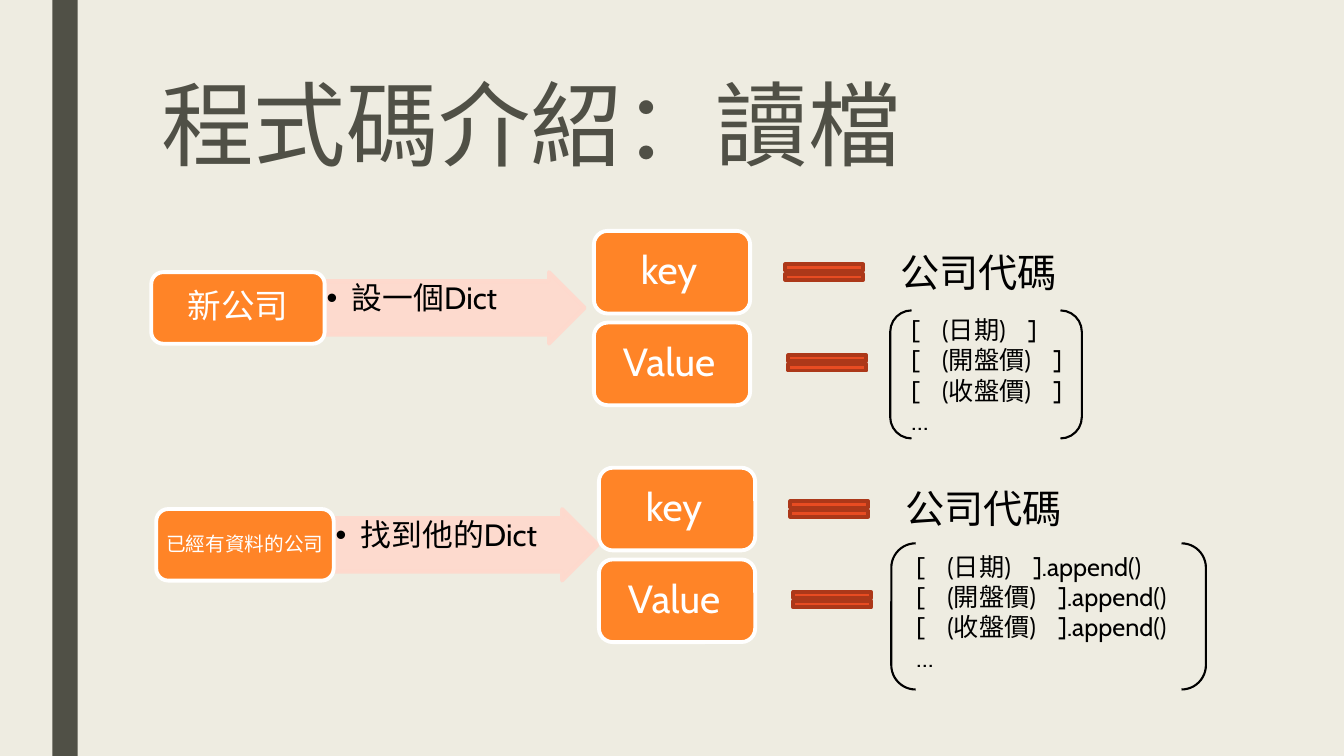
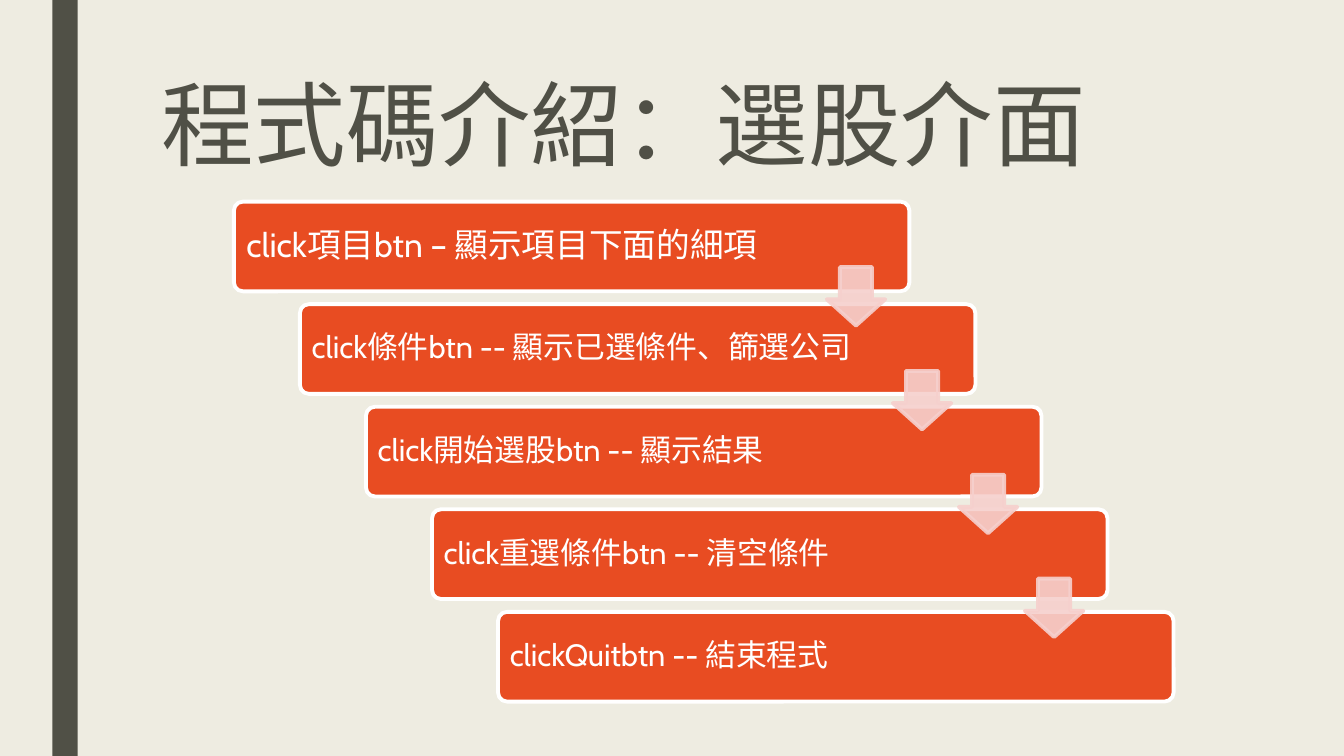
from lxml import etree
from pptx import Presentation, util as u
from pptx.dml.color import RGBColor
from pptx.enum import shapes, text
from pptx.oxml.ns import qn

Inches, Pt = u.Inches, u.Pt
SHAPE, ALIGN, ANCHOR = shapes.MSO_SHAPE, text.PP_ALIGN, text.MSO_ANCHOR

FONT = "Cabin"
PAPER, OLIVE, WHITE, BLACK = "EEECE1", "505046", "FFFFFF", "000000"
ORANGE, RED, DARK_RED = "FF8427", "E84C22", "AC3819"
PEACH, PINK = "FFD9CD", "F6D0CD"
DETAILS = ["日期", "開盤價", "收盤價"]


def paint(color_format, color):
    color_format.rgb = RGBColor.from_string(color)


def make_translucent(fill_parent, percent=90):
    for color in fill_parent.iter(qn("a:srgbClr")):
        etree.SubElement(color, qn("a:alpha")).set("val", str(percent * 1000))


def add_box(s, kind, box, fill=None, line=None, width=2.75, adj=()):
    sp = s.shapes.add_shape(kind, *map(Inches, box))
    sp.shadow.inherit = False
    if fill:
        sp.fill.solid()
        paint(sp.fill.fore_color, fill)
    else:
        sp.fill.background()
    if line:
        paint(sp.line.color, line)
        sp.line.width = Pt(width)
    else:
        sp.line.fill.background()
    for i, value in enumerate(adj):
        sp.adjustments[i] = value
    return sp


def set_frame(tf, insets=(0.1, 0.05, 0.1, 0.05), anchor=ANCHOR.TOP):
    """Insets run left, top, right, bottom."""
    tf.word_wrap = True
    tf.auto_size = text.MSO_AUTO_SIZE.NONE
    tf.vertical_anchor = anchor
    (tf.margin_left, tf.margin_top,
     tf.margin_right, tf.margin_bottom) = map(Inches, insets)


def write(p, runs, size, color, align=ALIGN.LEFT, spacing=None):
    """Fill a paragraph with (text, font) runs."""
    p.alignment = align
    if spacing:
        p.line_spacing = spacing
    for words, font in runs:
        r = p.add_run()
        r.text = words
        r.font.name, r.font.size = font, Pt(size)
        paint(r.font.color, color)


def add_bullet(p, indent=0.25):
    pPr = p._p.get_or_add_pPr()
    pPr.set("marL", str(Inches(indent)))
    pPr.set("indent", str(-Inches(indent)))
    etree.SubElement(pPr, qn("a:buFont")).set("typeface", "Arial")
    etree.SubElement(pPr, qn("a:buChar")).set("char", "•")


def add_label(s, box, lines, size):
    tf = s.shapes.add_textbox(*map(Inches, box)).text_frame
    set_frame(tf)
    for i, line in enumerate(lines):
        p = tf.add_paragraph() if i else tf.paragraphs[0]
        write(p, [(line, FONT)], size, BLACK)


def add_tile(s, box, label, size, insets):
    sp = add_box(s, SHAPE.ROUNDED_RECTANGLE, box, ORANGE, WHITE)
    set_frame(sp.text_frame, insets, ANCHOR.MIDDLE)
    write(sp.text_frame.paragraphs[0], [(label, FONT)], size, WHITE,
          ALIGN.CENTER, 0.9)


def add_translucent_arrow(s, kind, box, color, adj):
    sp = add_box(s, kind, box, color, color, adj=adj)
    make_translucent(sp.element.spPr)
    return sp


def style_master(prs, s):
    """Give the master its background and side band, drawn first on slide s."""
    master = prs.slide_master
    master.background.fill.solid()
    paint(master.background.fill.fore_color, PAPER)
    band = add_box(s, SHAPE.RECTANGLE, (0.52, 0, 0.25, 7.5), OLIVE).element
    band.nvSpPr.cNvPr.set("id", "99")
    master.shapes.element.insert(2, band)


def add_slide(prs, title_runs):
    s = prs.slides.add_slide(prs.slide_layouts[5])
    title = s.shapes.title
    title.left, title.top, title.width, title.height = map(
        Inches, (1.5, 0.75, 10.5, 1.62))
    set_frame(title.text_frame)
    write(title.text_frame.paragraphs[0], title_runs, 66, OLIVE, spacing=0.89)
    return s


def add_branch(s, x, y, company, size, company_width, action, arrow_end,
               suffix, bracket):
    """One flow from a company to its dictionary entry, from corner x, y."""
    arrow = add_translucent_arrow(
        s, SHAPE.RIGHT_ARROW,
        (x + company_width, y + 0.41, arrow_end - company_width, 0.71),
        PEACH, (0.75, 0.5))
    set_frame(arrow.text_frame, (0.02,) * 4)
    p = arrow.text_frame.paragraphs[0]
    write(p, [(action, FONT)], 22, BLACK, spacing=0.9)
    add_bullet(p)
    add_tile(s, (x, y + 0.41, company_width, 0.71), company, size,
             (0.06, 0.03, 0.06, 0.03))

    for i, part in enumerate(["key", "Value"]):
        add_tile(s, (x + 4.39, y + i * 0.91, 1.55, 0.82), part, 28,
                 (0.18, 0.09, 0.24, 0.09))
        add_box(s, SHAPE.MATH_EQUAL,
                (x + 6.15 + i * 0.03, y + 0.28 + i * 0.9, 1.05, 0.26),
                RED, DARK_RED)

    add_label(s, (x + 7.33, y + 0.12, 1.93, 0.57), ["公司代碼"], 28)
    values = [f"[    ({name})    ]{suffix}" for name in DETAILS] + ["…"]
    add_label(s, (x + 7.44, y + 0.78, 3.95, 1.31), values, 18)
    dx, dy, width, height = bracket
    add_box(s, SHAPE.DOUBLE_BRACKET, (x + dx, y + dy, width, height),
            line=BLACK, width=1.5)


def add_staircase(s, x, y, width, height, steps):
    """Cards descending to the right inside the box, arrows linking them."""
    card_w, card_h = 6.7, 0.89
    gaps = len(steps) - 1
    dx, dy = (width - card_w) / gaps, (height - card_h) / gaps
    for i, (words, size, inset, right) in enumerate(steps):
        sp = add_box(s, SHAPE.ROUNDED_RECTANGLE,
                     (x + i * dx, y + i * dy, card_w, card_h),
                     RED, WHITE, adj=(0.1,))
        set_frame(sp.text_frame, (inset, inset, right, inset), ANCHOR.MIDDLE)
        write(sp.text_frame.paragraphs[0], [(words, FONT)], size, WHITE,
              spacing=0.9)
    for i in range(gaps):
        add_translucent_arrow(
            s, SHAPE.DOWN_ARROW,
            (x + 5.88 + i * dx, y + 0.65 + i * 1.03, 0.58, 0.58),
            PINK, (0.55, 0.45))


def main():
    prs = Presentation()
    prs.slide_width, prs.slide_height = Inches(13.33), Inches(7.5)

    s = add_slide(prs, [("程式碼介紹：讀檔", FONT)])
    style_master(prs, s)
    add_branch(s, 1.5, 2.29, "新公司", 24, 1.72, "設一個Dict", 4.3,
               "", (7.33, 0.79, 1.9, 1.27))
    add_branch(s, 1.55, 4.64, "已經有資料的公司", 14, 1.76, "找到他的Dict",
               4.38, ".append()", (7.29, 0.75, 3.12, 1.45))

    s = add_slide(prs, [("程式碼介紹", FONT), ("：選股介面", "Arial")])
    first = ("click項目btn – 顯示項目下面的細項", 24, 0.1, 0.86)
    others = ["click條件btn -- 顯示已選條件、篩選公司",
              "click開始選股btn -- 顯示結果",
              "click重選條件btn -- 清空條件",
              "clickQuitbtn -- 結束程式"]
    add_staircase(s, 2.32, 2, 9.32, 4.96,
                  [first] + [(words, 22, 0.09, 1.03) for words in others])

    prs.save("out.pptx")


if __name__ == "__main__":
    main()
